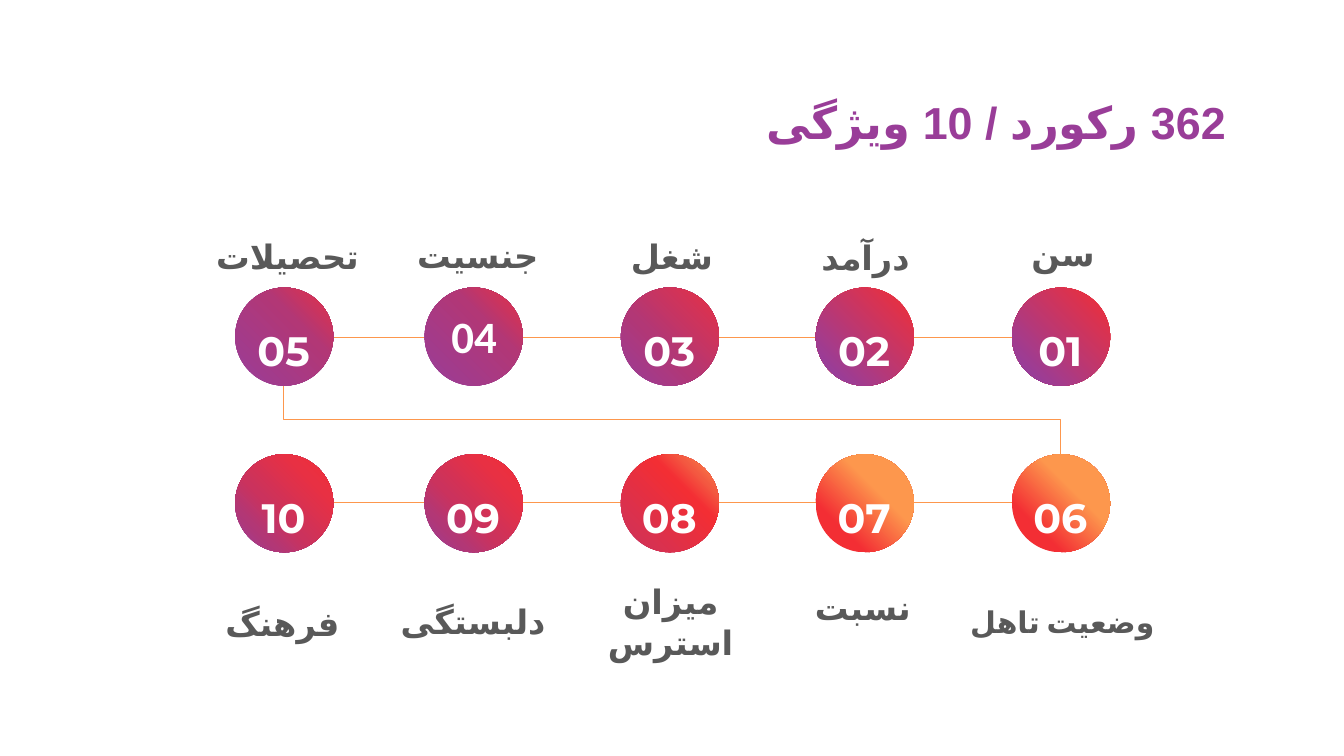
from lxml.etree import SubElement
from pptx import Presentation
from pptx.dml.color import RGBColor
from pptx.enum.lang import MSO_LANGUAGE_ID
from pptx.enum.shapes import MSO_CONNECTOR, MSO_SHAPE
from pptx.enum.text import MSO_ANCHOR, MSO_AUTO_SIZE, PP_ALIGN
from pptx.oxml.ns import qn
from pptx.util import Inches, Pt

PURPLE = RGBColor(0x99, 0x3D, 0x98)
PLUM = RGBColor(0xB2, 0x37, 0x76)
MAGENTA = RGBColor(0xCB, 0x32, 0x5D)
CRIMSON = RGBColor(0xE8, 0x30, 0x43)
RED = RGBColor(0xF3, 0x2E, 0x34)
CORAL = RGBColor(0xF3, 0x59, 0x41)
ORANGE = RGBColor(0xFD, 0x97, 0x4D)
GREY = RGBColor(0x59, 0x59, 0x59)
WHITE = RGBColor(0xFF, 0xFF, 0xFF)

# Gradient stops as (percent, colour), running from lower left to upper right
VIOLET = [(0, PURPLE), (64, PLUM), (100, CRIMSON), (100, ORANGE)]
VIOLET_RED = [(0, PURPLE), (42, PLUM), (100, CRIMSON), (100, ORANGE)]
RED_VIOLET = [(0, RED), (85, PURPLE), (100, ORANGE)]
BERRY = [(0, PURPLE), (23, PLUM), (42, MAGENTA), (76, CRIMSON), (100, RED)]
FLAME = [(0, PURPLE), (0, PLUM), (0, MAGENTA), (65, RED), (79, CORAL), (100, ORANGE)]
SUNSET = [(0, RED), (25, RED), (63, ORANGE), (100, ORANGE)]

DIAMETER = 0.73
TOP_Y, BOTTOM_Y = 2.14, 3.38
LABEL_H = 0.73

# Number, circle left and top, gradient, rotation
CIRCLES = [
    ("05", 1.75, TOP_Y, VIOLET, 0),
    ("03", 4.62, TOP_Y, VIOLET_RED, 0),
    ("01", 7.53, TOP_Y, RED_VIOLET, 180),
    ("10", 1.75, BOTTOM_Y, BERRY, 0),
    ("08", 4.62, BOTTOM_Y, FLAME, 0),
    ("06", 7.53, BOTTOM_Y, SUNSET, 0),
    ("02", 6.07, TOP_Y, RED_VIOLET, 180),
    ("04", 3.16, TOP_Y, VIOLET, 0),
    ("07", 6.07, BOTTOM_Y, SUNSET, 0),
    ("09", 3.16, BOTTOM_Y, BERRY, 0),
]

# Feature name, left, top, width, text size
LABELS = [
    ("جنسیت", 2.94, 1.43, 1.23, 18),
    ("تحصیلات", 1.46, 1.44, 1.36, 18),
    ("شغل", 4.5, 1.44, 1, 18),
    ("سن", 7.5, 1.42, 0.82, 18),
    ("درآمد", 5.96, 1.45, 0.96, 18),
    ("وضعیت تاهل", 7.07, 4.16, 1.67, 16),
    ("فرهنگ", 1.42, 4.17, 1.36, 18),
    ("دلبستگی", 2.84, 4.16, 1.36, 18),
    ("میزان استرس", 4.31, 4.16, 1.36, 18),
]


def write_text(sp, text, size, color, font="Calibri", cs_font="Calibri", lang=None,
               align=PP_ALIGN.CENTER, anchor=MSO_ANCHOR.MIDDLE,
               insets=(0.1, 0.2, 0.1, 0), space_after=16, rtl=False):
    """Fill a shape with one bold paragraph; insets are left, top, right, bottom."""
    tf = sp.text_frame
    tf.word_wrap = True
    tf.auto_size = MSO_AUTO_SIZE.NONE
    tf.vertical_anchor = anchor
    tf.margin_left, tf.margin_top, tf.margin_right, tf.margin_bottom = map(Inches, insets)
    p = tf.paragraphs[0]
    p.alignment = align
    p.space_after = Pt(space_after)
    if rtl:
        p._p.get_or_add_pPr().set("rtl", "1")
    r = p.add_run()
    r.text = text
    r.font.size = Pt(size)
    r.font.bold = True
    r.font.name = font
    r.font.color.rgb = color
    if lang:
        r.font.language_id = lang
    SubElement(r._r.get_or_add_rPr(), qn("a:cs"), typeface=cs_font)


def add_text(s, text, x, y, w, h, **fmt):
    sp = s.shapes.add_textbox(Inches(x), Inches(y), Inches(w), Inches(h))
    write_text(sp, text, **fmt)


def add_line(s, x1, y1, x2, y2, kind=MSO_CONNECTOR.STRAIGHT):
    line = s.shapes.add_connector(kind, Inches(x1), Inches(y1), Inches(x2), Inches(y2))
    line.line.color.rgb = ORANGE
    line.line.width = Pt(0.75)
    SubElement(line._element.spPr, qn("a:effectLst"))
    return line


def add_row_link(s):
    """Elbow from 05 down to 06: an upright elbow turned a quarter left."""
    link = add_line(s, 5.48, 0.23, 4.52, 6.01, MSO_CONNECTOR.ELBOW)
    link._element.spPr.find(qn("a:xfrm")).set("rot", str(270 * 60000))


def add_circle(s, x, y, stops, rotation):
    sp = s.shapes.add_shape(MSO_SHAPE.OVAL, Inches(x), Inches(y),
                            Inches(DIAMETER), Inches(DIAMETER))
    sp.rotation = rotation
    sp.shadow.inherit = False
    sp.line.fill.background()
    sp.fill.gradient()
    grad = sp._element.spPr.find(qn("a:gradFill"))
    gs_list = grad.find(qn("a:gsLst"))
    for gs in list(gs_list):
        gs_list.remove(gs)
    for percent, color in stops:
        gs = SubElement(gs_list, qn("a:gs"), pos=str(percent * 1000))
        SubElement(gs, qn("a:srgbClr"), val=str(color))
    sp.fill.gradient_angle = 45


def add_number(s, text, x, y):
    add_text(s, text, x + 0.08, y + 0.23, 0.56, 0.27, size=22, color=WHITE,
             font="Montserrat", cs_font="Montserrat", insets=(0, 0.2, 0, 0))


def main():
    prs = Presentation()
    prs.slide_width = Inches(10)
    prs.slide_height = prs.slide_width * 9 // 16
    s = prs.slides.add_slide(prs.slide_layouts[5])

    persian = dict(lang=MSO_LANGUAGE_ID.FARSI)
    title = s.shapes.title
    title.left, title.top = Inches(0.79), Inches(0.59)
    title.width, title.height = Inches(8.43), Inches(0.63)
    write_text(title, "362 رکورد / 10 ویژگی", size=24, color=PURPLE, cs_font="Arial",
               align=PP_ALIGN.RIGHT, insets=(0.1,) * 4, space_after=0, rtl=True, **persian)

    for y in (2.51, 3.74):
        add_line(s, 2.25, y, 4.86, y)
        add_line(s, 5.14, y, 7.72, y)
    add_row_link(s)

    plain = dict(anchor=MSO_ANCHOR.TOP, insets=(0.1, 0.05, 0.1, 0.05), space_after=0)
    for number, x, y, stops, rotation in CIRCLES:
        add_circle(s, x, y, stops, rotation)
        if number == "04":
            add_text(s, number, 3.26, 2.25, 0.59, 0.5, size=24, color=WHITE,
                     align=PP_ALIGN.LEFT, **plain)
        else:
            add_number(s, number, x, y)

    for name, x, y, w, size in LABELS:
        add_text(s, name, x, y, w, LABEL_H, size=size, color=GREY, **persian)
    add_text(s, "نسبت", 5.95, 4.32, 0.94, 0.4, size=18, color=GREY, rtl=True,
             **plain, **persian)

    prs.save("out.pptx")


if __name__ == "__main__":
    main()
